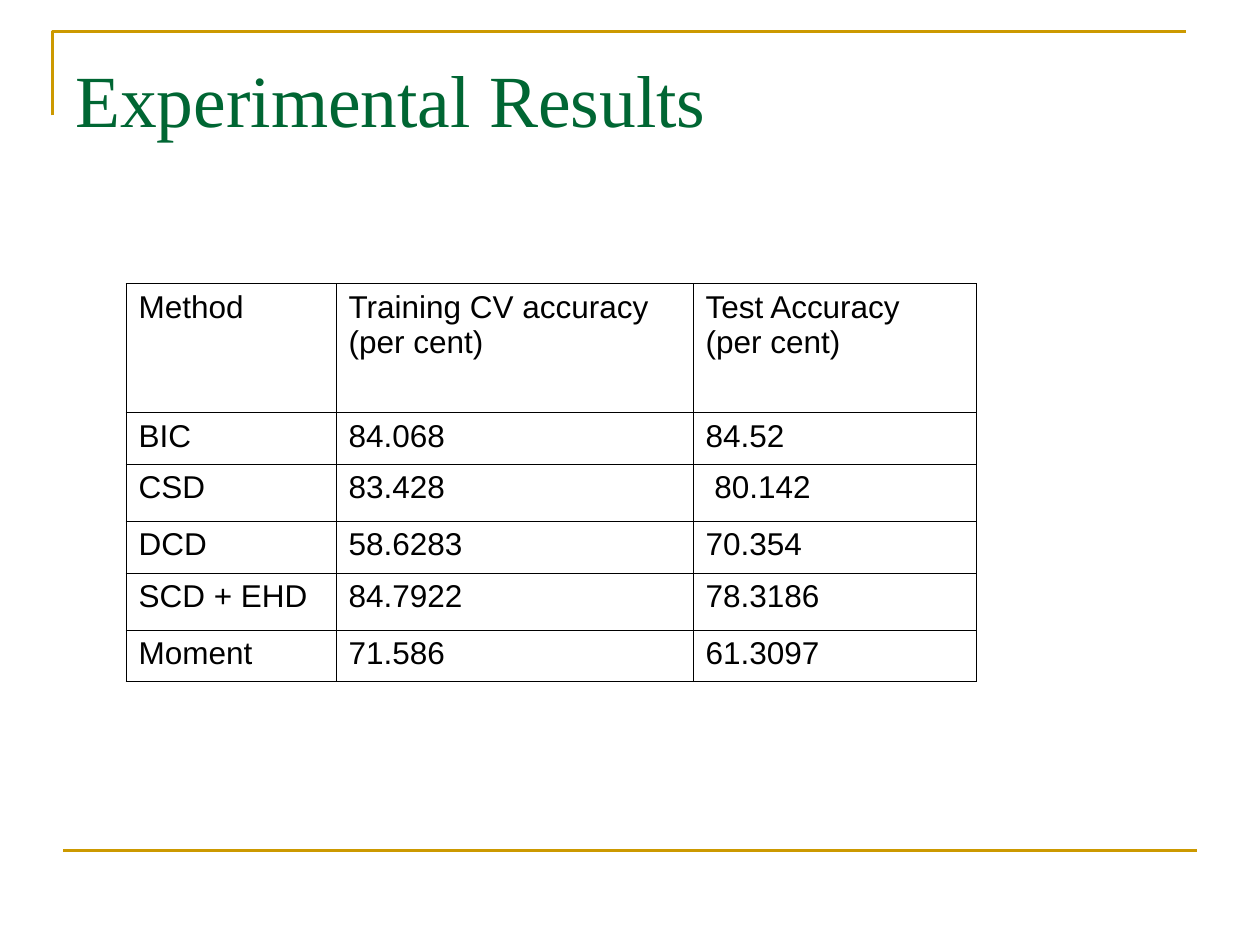
from lxml import etree
from pptx import Presentation
from pptx.dml.color import RGBColor
from pptx.enum import shapes, text
from pptx.oxml import ns
from pptx.util import Pt

GOLD, GREEN, BLACK = "CC9900", "006633", "000000"

HEAD = ["Method", "Training CV accuracy\n(per cent)", "Test Accuracy\n(per cent)"]
SCORES = [
    ["BIC", "84.068", "84.52"],
    ["CSD", "83.428", " 80.142"],
    ["DCD", "58.6283", "70.354"],
    ["SCD + EHD", "84.7922", "78.3186"],
    ["Moment", "71.586", "61.3097"],
]


def color(code):
    return RGBColor.from_string(code)


class Deck:
    """Holds the style and the current slide; all lengths are in points."""

    body, serif = "Arial", "Times New Roman"
    rule, grid = 1.5, 0.45

    def __init__(self, wide, high):
        self.prs = Presentation()
        self.prs.slide_width, self.prs.slide_height = Pt(wide), Pt(high)
        self.slide = self.prs.slides.add_slide(self.prs.slide_layouts[6])

    def ink(self, line):
        line.color.rgb = color(GOLD)
        line.width = Pt(self.rule)

    def corner(self, start, *rest):
        """Draws an open outline through the given points."""
        pen = self.slide.shapes.build_freeform(Pt(start[0]), Pt(start[1]))
        pen.add_line_segments([(Pt(x), Pt(y)) for x, y in rest], close=False)
        shape = pen.convert_to_shape()
        shape.shadow.inherit = False
        shape.fill.background()
        self.ink(shape.line)

    def line(self, x1, y1, x2, y2):
        rule = self.slide.shapes.add_connector(
            shapes.MSO_CONNECTOR.STRAIGHT, Pt(x1), Pt(y1), Pt(x2), Pt(y2))
        self.ink(rule.line)
        etree.SubElement(rule._element.spPr, ns.qn("a:effectLst"))

    def label(self, frame, words, size, font, code):
        """Puts each line of words in a paragraph of its own."""
        for i, part in enumerate(words.split("\n")):
            para = frame.add_paragraph() if i else frame.paragraphs[0]
            run = para.add_run()
            run.text = part
            run.font.size, run.font.name = Pt(size), font
            run.font.color.rgb = color(code)

    def title(self, words, x, y, w, h):
        frame = self.slide.shapes.add_textbox(Pt(x), Pt(y), Pt(w), Pt(h)).text_frame
        frame.word_wrap = True
        frame.vertical_anchor = text.MSO_ANCHOR.TOP
        frame.margin_top = Pt(9)
        self.label(frame, words, 42, self.serif, GREEN)

    def border(self, cell):
        props = cell._tc.get_or_add_tcPr()
        for i, side in enumerate(("lnL", "lnR", "lnT", "lnB")):
            edge = etree.Element(ns.qn("a:" + side), w=str(Pt(self.grid)))
            fill = etree.SubElement(edge, ns.qn("a:solidFill"))
            etree.SubElement(fill, ns.qn("a:srgbClr"), val=BLACK)
            props.insert(i, edge)

    def table(self, rows, x, y, widths, heights):
        table = self.slide.shapes.add_table(
            len(rows), len(widths), Pt(x), Pt(y),
            Pt(sum(widths)), Pt(sum(heights))).table
        table.first_row = table.horz_banding = False
        for col, w in zip(table.columns, widths):
            col.width = Pt(w)
        for row, h, words in zip(table.rows, heights, rows):
            row.height = Pt(h)
            for cell, item in zip(row.cells, words):
                cell.fill.background()
                self.border(cell)
                self.label(cell.text_frame, item, 18, self.body, BLACK)

    def save(self):
        self.prs.save("out.pptx")


def main():
    deck = Deck(720, 540)
    deck.corner((30, 66), (30, 18), (678, 18))
    deck.line(36, 486, 684, 486)
    deck.title("Experimental Results", 36, 21.6, 648, 90)
    low, tall = 29.6, 32.6
    deck.table([HEAD] + SCORES, 72, 162, [120, 204, 162],
               [73.6, low, tall, low, tall, low])
    deck.save()


if __name__ == "__main__":
    main()
